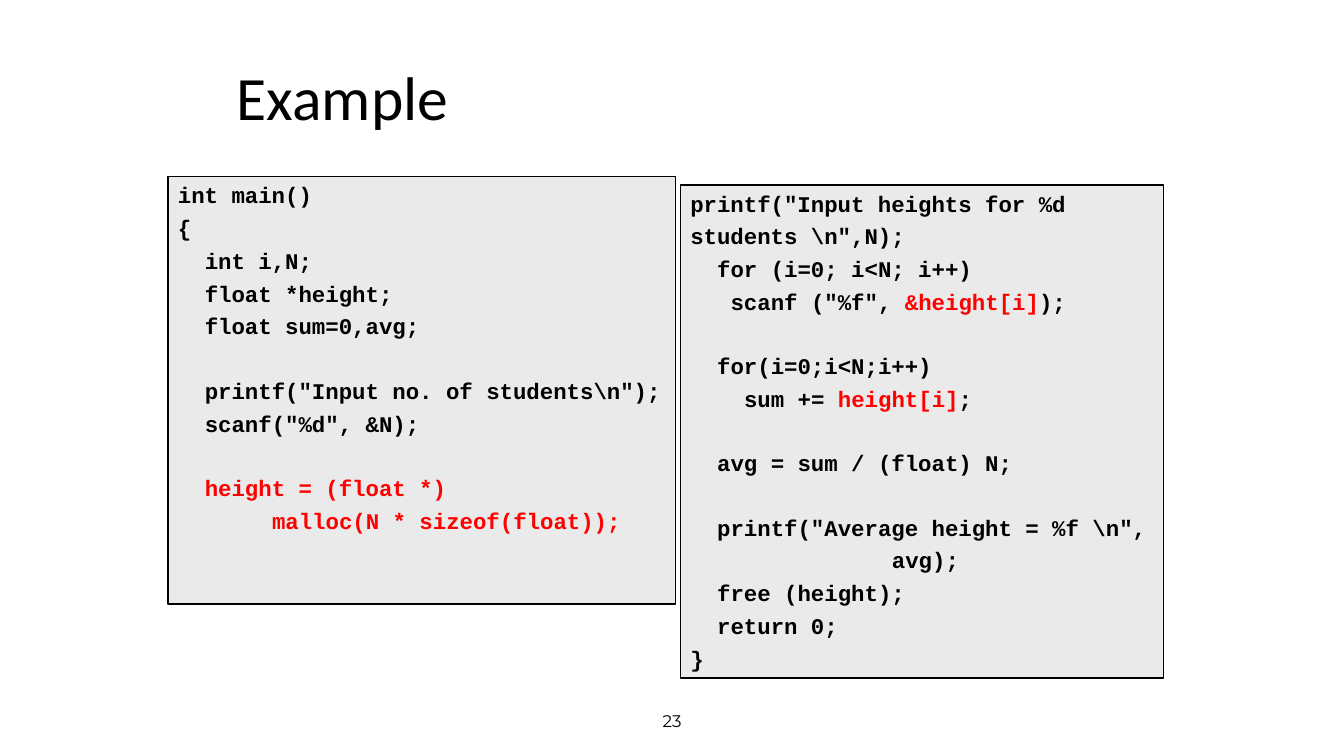
import pptx
import pptx.util
import pptx.dml.color
import pptx.enum.shapes
import pptx.enum.text

BLACK = pptx.dml.color.RGBColor(0, 0, 0)
RED = pptx.dml.color.RGBColor(255, 0, 0)
PANEL_GREY = pptx.dml.color.RGBColor(0xEA, 0xEA, 0xEA)

COLUMNS, ROWS = 160, 90
CODE_SIZE = 16
CHARACTER_WIDTH = 0.6 * CODE_SIZE
LINE_GAP = 4.27
BLANK_LINE = 22.4

# pptx.oxml
SETUP_CODE = [
    (0, False, [("int main()", BLACK)]),
    (0, False, [("{", BLACK)]),
    (2, False, [("int i,N;", BLACK)]),
    (2, False, [("float *height;", BLACK)]),
    (2, False, [("float sum=0,avg;", BLACK)]),
    (2, True, [('printf("Input no. of students\\n");', BLACK)]),
    (2, False, [('scanf("%d", &N);', BLACK)]),
    (2, True, [("height = (float *)", RED)]),
    (7, False, [("malloc(N * sizeof(float));", RED)]),
]
AVERAGE_CODE = [
    (0, False, [('printf("Input heights for %d', BLACK)]),
    (0, False, [('students \\n",N);', BLACK)]),
    (2, False, [("for (i=0; i<N; i++)", BLACK)]),
    (3, False, [('scanf ("%f", ', BLACK), ("&height[i]", RED), (");", BLACK)]),
    (2, True, [("for(i=0;i<N;i++)", BLACK)]),
    (4, False, [("sum += ", BLACK), ("height[i]", RED), (";", BLACK)]),
    (2, True, [("avg = sum / (float) N;", BLACK)]),
    (2, True, [('printf("Average height = %f \\n",', BLACK)]),
    (15, False, [("avg);", BLACK)]),
    (2, False, [("free (height);", BLACK)]),
    (2, False, [("return 0;", BLACK)]),
    (0, False, [("}", BLACK)]),
]


def grid_box(deck, left, top, width, height):
    column, row = deck.slide_width / COLUMNS, deck.slide_height / ROWS
    return [round(length) for length in (left * column, top * row, width * column, height * row)]


def add_span(para, text, font="Calibri", size=18, color=BLACK, bold=False):
    span = para.add_run()
    span.text = text
    span.font.name = font
    span.font.size = pptx.util.Pt(size)
    span.font.color.rgb = color
    span.font.bold = bold


def add_label(page, box, text, align=pptx.enum.text.PP_ALIGN.LEFT, line_spacing=1.0, **style):
    frame = page.shapes.add_textbox(*box).text_frame
    frame.word_wrap = True
    frame.vertical_anchor = pptx.enum.text.MSO_ANCHOR.MIDDLE
    para = frame.paragraphs[0]
    para.alignment = align
    para.line_spacing = line_spacing
    add_span(para, text, **style)


def add_code_panel(page, box, lines):
    panel = page.shapes.add_shape(pptx.enum.shapes.MSO_SHAPE.RECTANGLE, *box)
    panel.shadow.inherit = False
    panel.fill.solid()
    panel.fill.fore_color.rgb = PANEL_GREY
    panel.line.color.rgb = BLACK
    panel.line.width = pptx.util.Pt(1)
    frame = panel.text_frame
    frame.word_wrap = True
    frame.vertical_anchor = pptx.enum.text.MSO_ANCHOR.TOP
    for number, (indent, after_blank, spans) in enumerate(lines):
        para = frame.add_paragraph() if number else frame.paragraphs[0]
        para.alignment = pptx.enum.text.PP_ALIGN.LEFT
        para.space_before = pptx.util.Pt(LINE_GAP + BLANK_LINE * after_blank)
        properties = para._p.get_or_add_pPr()
        properties.set("marL", str(pptx.util.Pt(indent * CHARACTER_WIDTH)))
        properties.set("indent", "0")
        for text, color in spans:
            add_span(para, text, font="Courier New", size=CODE_SIZE, color=color, bold=True)


def build_example_page(deck):
    page = deck.slides.add_slide(deck.slide_layouts[6])
    add_label(page, grid_box(deck, 53, 83.4, 54, 4.8), "23",
              align=pptx.enum.text.PP_ALIGN.CENTER, font="Montserrat", size=12)
    add_label(page, grid_box(deck, 27, 3, 108, 18), "Example", line_spacing=0.9, size=44)
    add_code_panel(page, grid_box(deck, 81, 22, 57.5, 58.7), AVERAGE_CODE)
    add_code_panel(page, grid_box(deck, 20, 21, 60.4, 50.9), SETUP_CODE)


def main():
    deck = pptx.Presentation()
    deck.slide_width = pptx.util.Inches(13.33)
    deck.slide_height = pptx.util.Inches(7.5)
    build_example_page(deck)
    deck.save("out.pptx")


if __name__ == "__main__":
    main()
